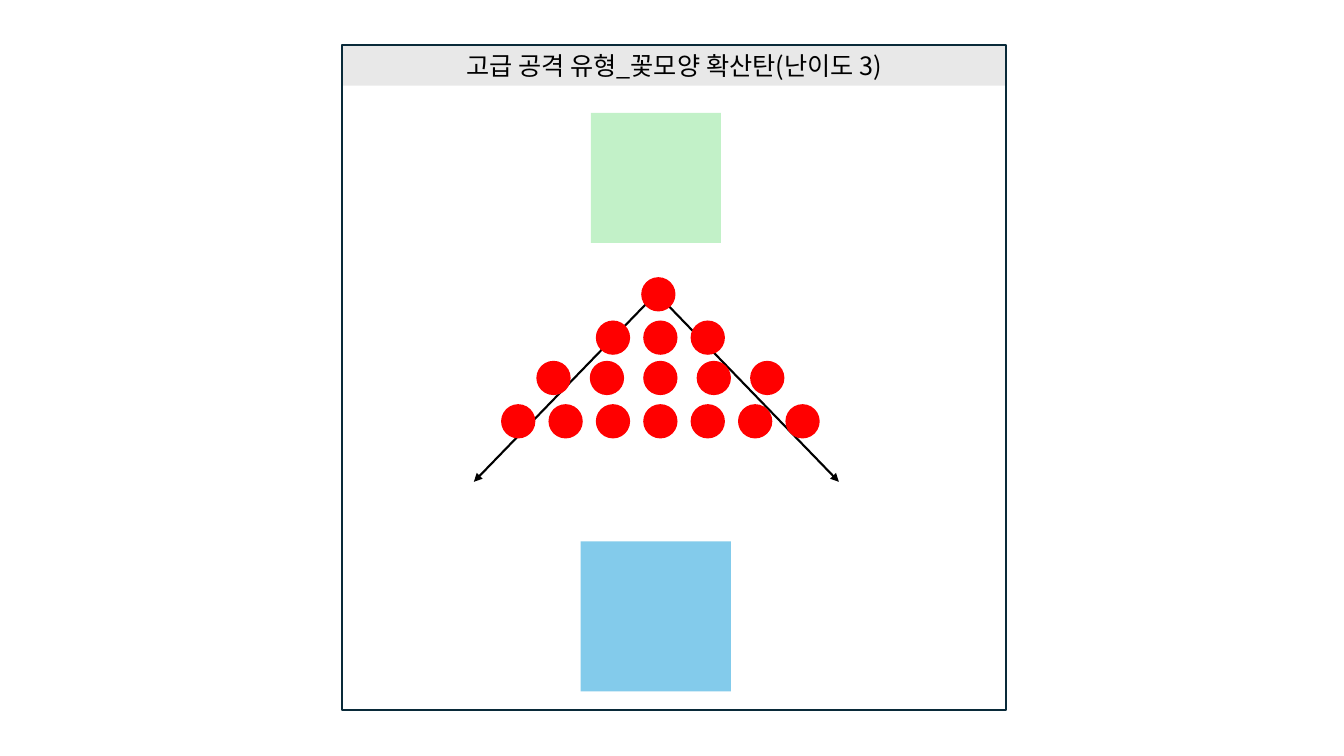
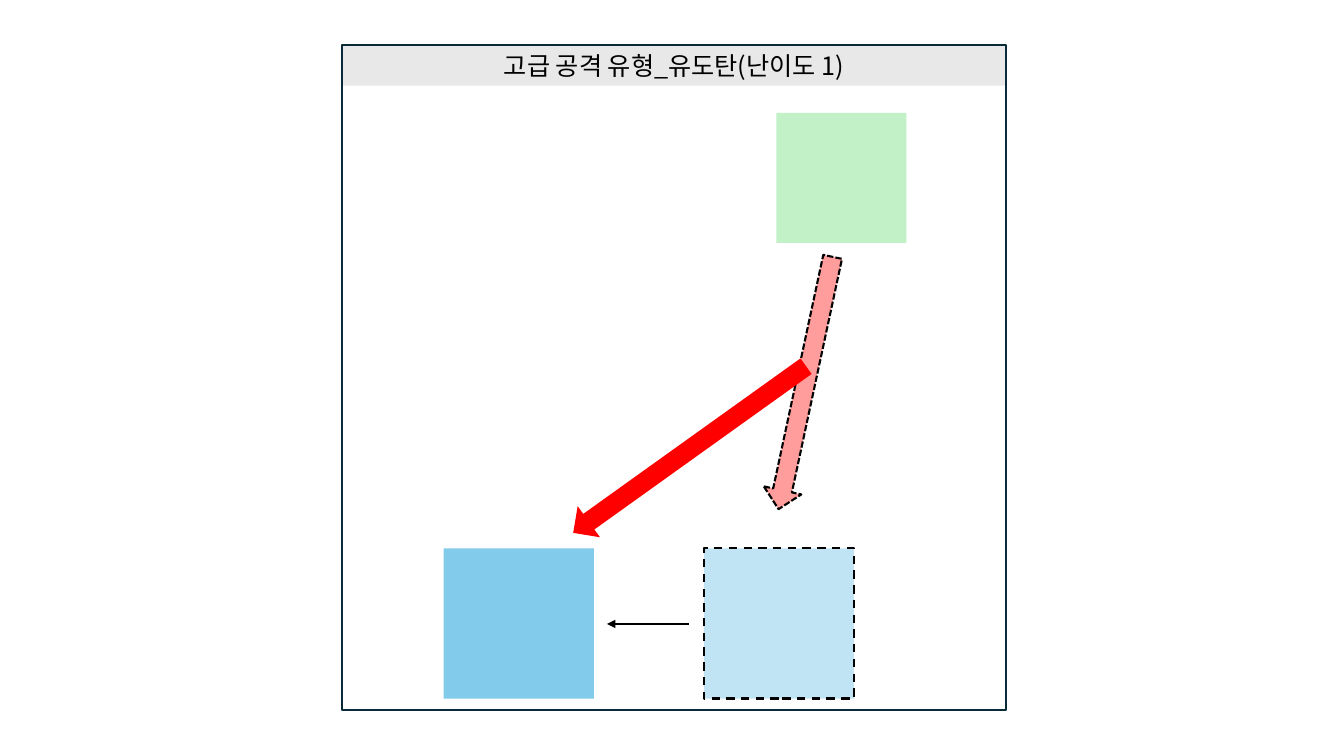
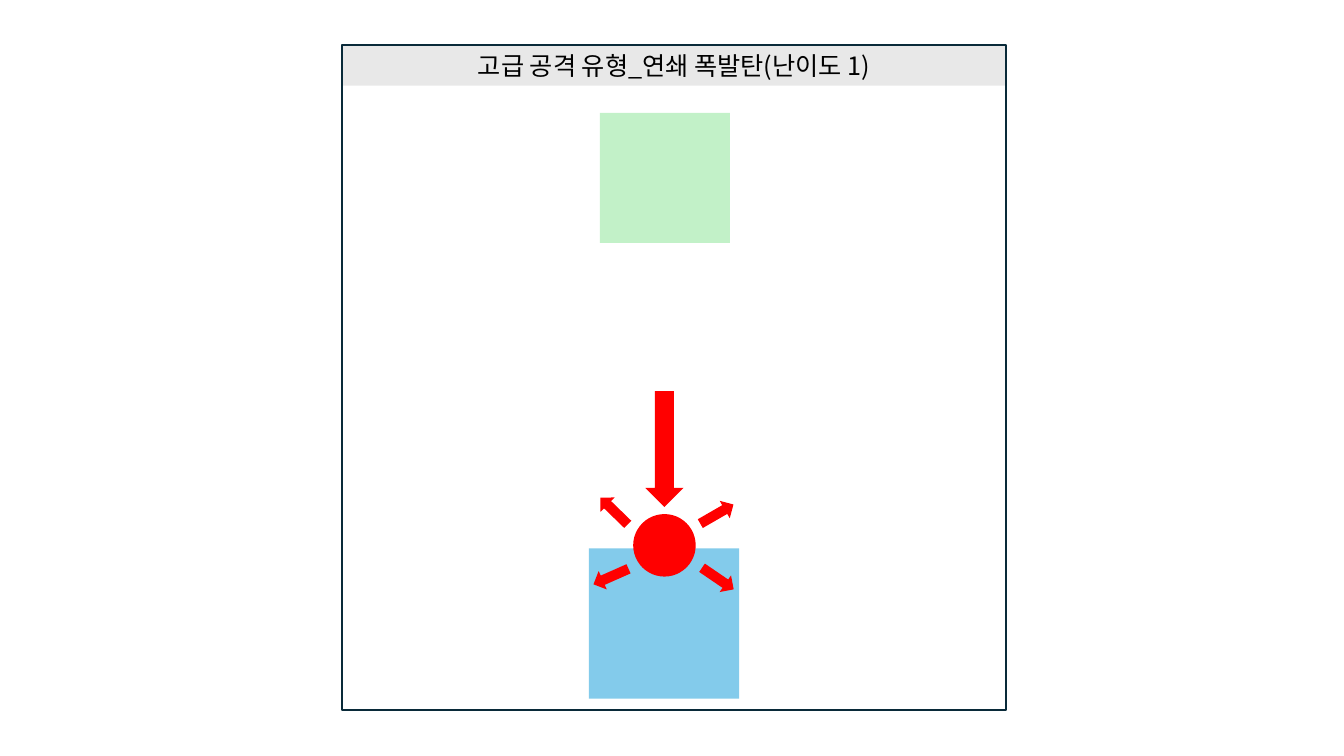
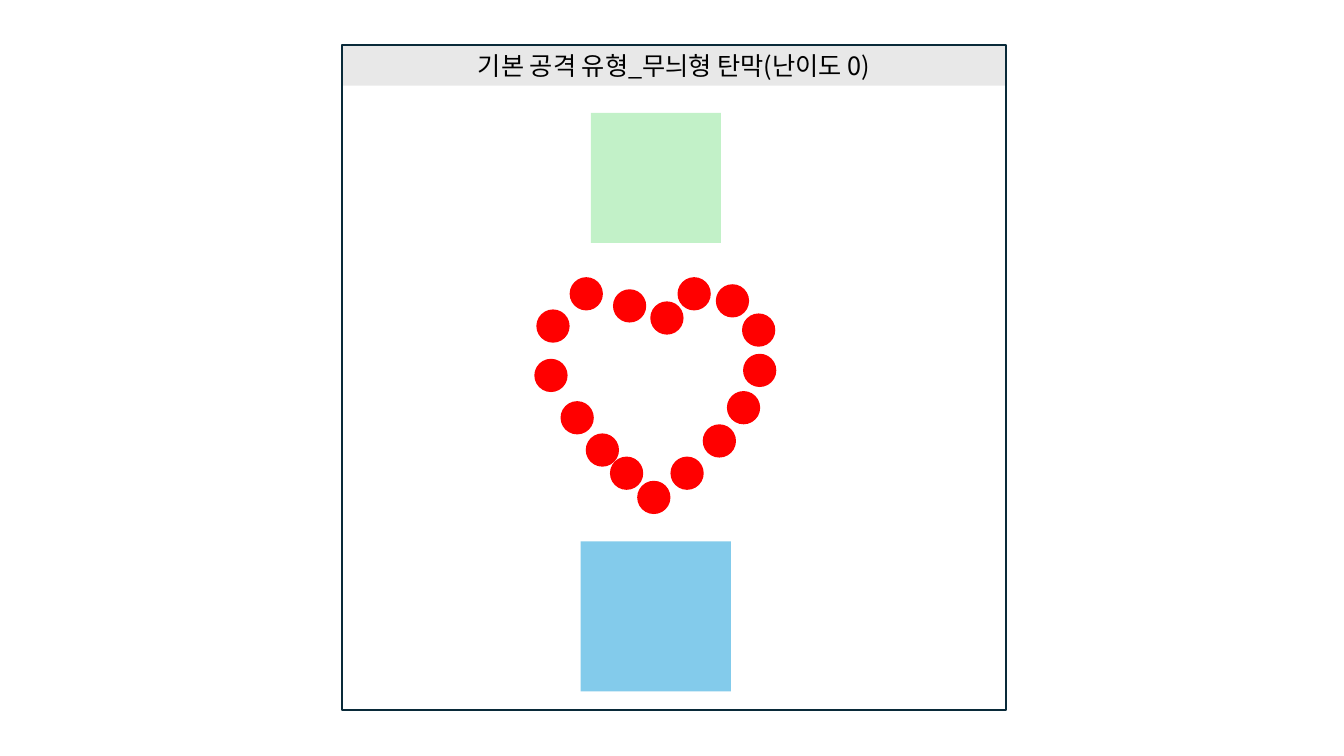
from lxml import etree
from pptx import Presentation
from pptx.dml.color import RGBColor
from pptx.enum import dml, shapes, text
from pptx.oxml.ns import qn
from pptx.util import Inches, Pt

BAND = RGBColor(0xE8, 0xE8, 0xE8)
FRAME = RGBColor(0x09, 0x2A, 0x39)
BLACK = RGBColor(0x00, 0x00, 0x00)
RED = RGBColor(0xFF, 0x00, 0x00)
BLUE = RGBColor(0x83, 0xCB, 0xEB)
GREEN = RGBColor(0xC2, 0xF1, 0xC8)
FONT = "Noto Sans CJK KR"

RECT, OVAL, DOWN = (shapes.MSO_SHAPE.RECTANGLE, shapes.MSO_SHAPE.OVAL,
                    shapes.MSO_SHAPE.DOWN_ARROW)
DASH, SHORT_DASH = dml.MSO_LINE.DASH, dml.MSO_LINE.SQUARE_DOT

# Shared layout, in inches
LEFT, TOP, SIDE, BAND_H = 3.39, 0.45, 6.59, 0.4
PLAYER, ENEMY, ENEMY_TOP = 1.49, 1.29, 1.12

# Slide content
TITLES = {
    "flower": "고급 공격 유형_꽃모양 확산탄(난이도 3)",
    "homing": "고급 공격 유형_유도탄(난이도 1)",
    "chain": "고급 공격 유형_연쇄 폭발탄(난이도 1)",
    "pattern": "기본 공격 유형_무늬형 탄막(난이도 0)",
}
# Rows of bullets: centre x, top, count, pitch
FLOWER_ROWS = [(6.53, 2.75, 1, 0), (6.55, 3.18, 3, 0.47),
               (6.55, 3.58, 5, 0.53), (6.55, 4.01, 7, 0.47)]
FLOWER_ARROWS = [((6.52, 2.92), (8.32, 4.78)), ((6.5, 2.92), (4.7, 4.78))]
# Blast arrows: left, top, rotation
BLASTS = [(5.99, 4.88, 134.2), (5.96, 5.53, 66.1),
          (7.01, 4.91, 240), (7.02, 5.55, 304.3)]
HEART = [(5.65, 2.75), (5.32, 3.07), (5.3, 3.56), (5.56, 3.98),
         (5.81, 4.3), (6.05, 4.53), (6.32, 4.77), (6.65, 4.53),
         (6.97, 4.21), (7.21, 3.88), (7.37, 3.51), (7.36, 3.11),
         (7.1, 2.82), (6.72, 2.75), (6.45, 2.99), (6.08, 2.87)]


def add_shape(parent, kind, x, y, w, h, fill=None, line=None, dash=None,
              alpha=None, rot=0):
    sp = parent.shapes.add_shape(kind, *map(Inches, (x, y, w, h)))
    sp.shadow.inherit = False
    sp.rotation = rot
    if fill is None:
        sp.fill.background()
    else:
        sp.fill.solid()
        sp.fill.fore_color.rgb = fill
    if alpha is not None:
        color = sp._element.spPr.find(".//" + qn("a:srgbClr"))
        etree.SubElement(color, qn("a:alpha"), val=str(alpha * 1000))
    if line is None:
        sp.line.fill.background()
    else:
        sp.line.color.rgb = line
        sp.line.width = Pt(1.5)
        if dash is not None:
            sp.line.dash_style = dash
    return sp


def add_arrow(s, start, end):
    cx = s.shapes.add_connector(shapes.MSO_CONNECTOR.STRAIGHT,
                                *map(Inches, start + end))
    cx.line.color.rgb = BLACK
    cx.line.width = Pt(1.5)
    etree.SubElement(cx.line._get_or_add_ln(), qn("a:tailEnd"), type="triangle")
    etree.SubElement(cx._element.spPr, qn("a:effectLst"))


def add_bullet(parent, x, y, size):
    add_shape(parent, OVAL, x, y, size, size, RED)


def add_player(s, x, y, **style):
    add_shape(s, RECT, x, y, PLAYER, PLAYER, BLUE, **style)


def add_enemy(s, x):
    add_shape(s, RECT, x, ENEMY_TOP, ENEMY, ENEMY, GREEN)


def add_stage(s, title):
    """Title band and outer frame."""
    sp = s.shapes.add_textbox(*map(Inches, (LEFT, TOP, SIDE, BAND_H)))
    sp.fill.solid()
    sp.fill.fore_color.rgb = BAND
    tf = sp.text_frame
    tf.word_wrap = True
    tf.auto_size = text.MSO_AUTO_SIZE.SHAPE_TO_FIT_TEXT
    p = tf.paragraphs[0]
    p.alignment = text.PP_ALIGN.CENTER
    r = p.add_run()
    r.text = title
    for name, value in {"size": Pt(18), "name": FONT}.items():
        setattr(r.font, name, value)
    r.font.color.rgb = BLACK
    etree.SubElement(r._r.get_or_add_rPr(), qn("a:ea"), typeface=FONT)
    add_shape(s, RECT, LEFT, TOP, SIDE, SIDE, line=FRAME)


def draw_flower(s):
    for start, end in FLOWER_ARROWS:
        add_arrow(s, start, end)
    add_player(s, 5.76, 5.37)
    add_enemy(s, 5.86)
    size = 0.34
    for center, y, count, pitch in FLOWER_ROWS:
        first = center - (count - 1) * pitch / 2 - size / 2
        for i in range(count):
            add_bullet(s, first + i * pitch, y, size)


def draw_homing(s):
    # Earlier position and aim, faded
    add_player(s, 6.98, 5.44, line=BLACK, dash=DASH, alpha=50)
    add_shape(s, DOWN, 7.8, 2.52, 0.38, 2.56, RED, line=BLACK,
              dash=SHORT_DASH, alpha=39, rot=12.1)
    add_enemy(s, 7.7)
    # Redirected shot and new position
    add_shape(s, DOWN, 6.65, 3.04, 0.38, 2.84, RED, rot=54.4)
    add_player(s, 4.4, 5.44)
    add_arrow(s, (6.83, 6.19), (6.02, 6.19))


def draw_chain(s):
    add_player(s, 5.84, 5.44)
    add_enemy(s, 5.95)
    add_shape(s, DOWN, 6.4, 3.88, 0.38, 1.15, RED)
    add_bullet(s, 6.28, 5.1, 0.62)
    for x, y, rot in BLASTS:
        add_shape(s, DOWN, x, y, 0.2, 0.38, RED, rot=rot)


def draw_pattern(s):
    add_player(s, 5.76, 5.37)
    add_enemy(s, 5.86)
    heart = s.shapes.add_group_shape()
    for x, y in HEART:
        add_bullet(heart, x, y, 0.33)


def main():
    prs = Presentation()
    prs.slide_width, prs.slide_height = Inches(13.33), Inches(7.5)
    drawings = {"flower": draw_flower, "homing": draw_homing,
                "chain": draw_chain, "pattern": draw_pattern}
    for key, title in TITLES.items():
        s = prs.slides.add_slide(prs.slide_layouts[6])
        add_stage(s, title)
        drawings[key](s)
    prs.save("out.pptx")


if __name__ == "__main__":
    main()
